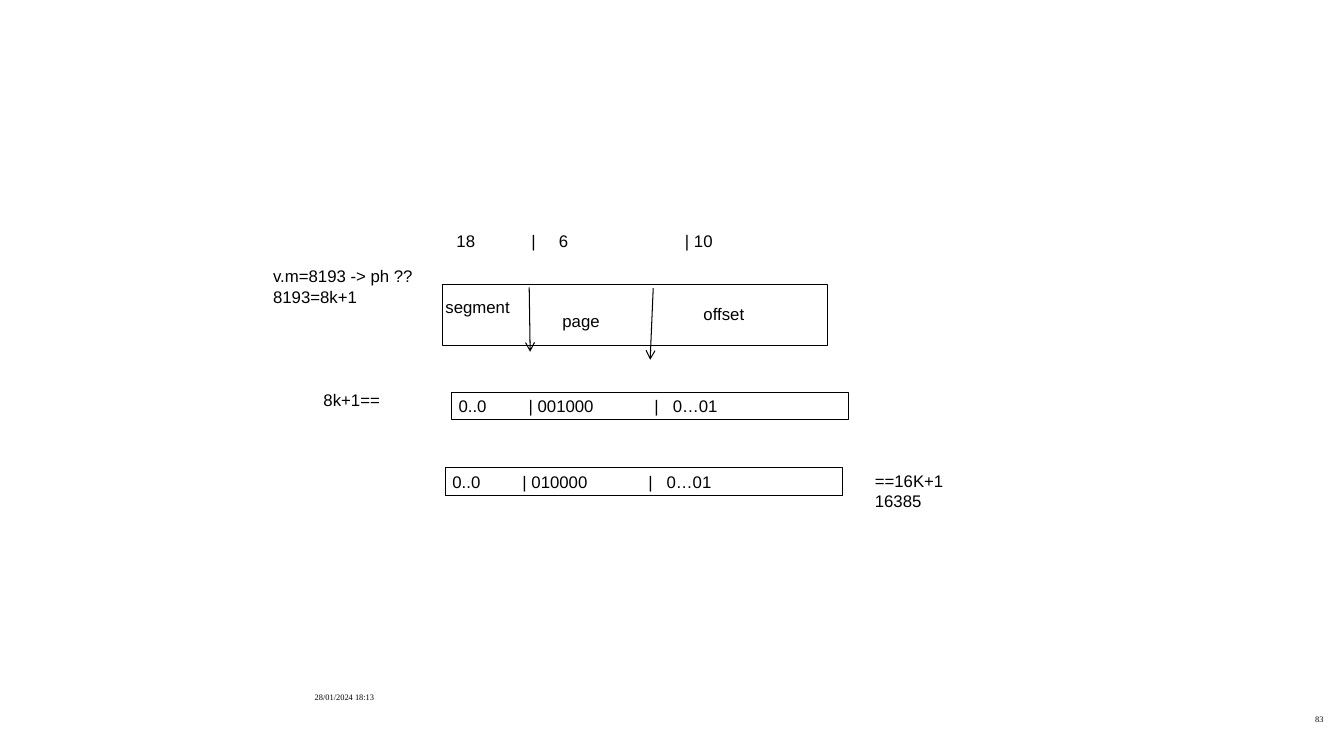
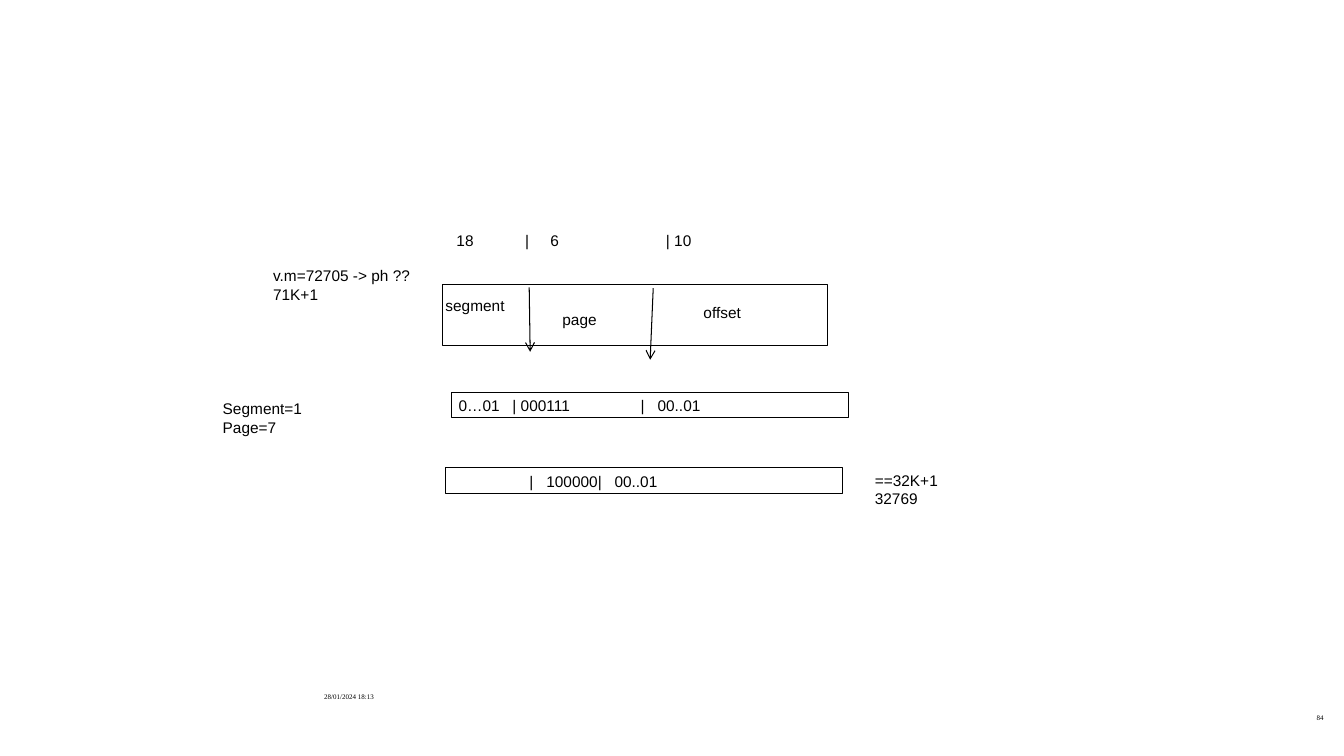
"""Build two slides that work through segmented and paged address translation."""
from dataclasses import dataclass

from lxml import etree
from pptx import Presentation
from pptx.dml.color import RGBColor
from pptx.enum import shapes, text
from pptx.oxml import ns
from pptx.util import Pt

INK = {"line": "000000", "text": "000000", "page": "FFFFFF"}
PAD = {"margin_left": 5, "margin_right": 5, "margin_top": 2.9, "margin_bottom": 2.9}
BODY = "Arial"
FOOT = "Times New Roman"
DATE = "28/01/2024 18:13"
LEAD = 1.15


@dataclass
class Label:
    """Text at a place; tab stops are in ems of the font size."""
    words: str
    left: float
    top: float
    width: float
    stops: tuple = ()
    boxed: bool = False
    font: str = BODY
    align: text.PP_ALIGN = text.PP_ALIGN.LEFT


@dataclass
class Arrow:
    """A straight arrow between two points."""
    x1: float
    y1: float
    x2: float
    y2: float


@dataclass
class Case:
    """What differs from one worked example to the next."""
    number: int
    size: int
    labels: list


FIELDS = [
    Label("segment", 313.2, 208.8, 64.8),
    Label("page", 396.7, 218.9, 63.4),
    Label("offset", 497.5, 213.8, 63.4),
    Label("18\t|\t6\t| 10", 321.1, 162, 276.5, (4.45, 6.1, 13.6)),
]
ARROWS = [Arrow(378, 205.2, 378.7, 251.3), Arrow(466.6, 205.9, 464.4, 257)]


def ask(words: str) -> Label:
    """Place the question left of the address."""
    return Label(words, 190.1, 187.2, 115.2)


def virtual(words: str, stops: tuple) -> Label:
    """Place the bits of the virtual address."""
    return Label(words, 322.6, 280.1, 283.7, stops, True)


def real(words: str, stops: tuple) -> Label:
    """Place the bits of the physical address."""
    return Label(words, 318.2, 334.1, 283.7, stops, True)


def answer(words: str) -> Label:
    """Place the result right of the physical address."""
    return Label(words, 619.9, 333.4, 64.8)


CASES = [
    Case(83, 12, [
        ask("v.m=8193 -> ph ??\n8193=8k+1"),
        virtual("0..0\t| 001000\t|\t0…01", (4.17, 11.66, 12.75)),
        Label("8k+1==", 226.1, 275.8, 64.8),
        real("0..0\t| 010000\t|\t0…01", (4.17, 11.66, 12.75)),
        answer("==16K+1\n16385"),
    ]),
    Case(84, 11, [
        ask("v.m=72705 -> ph ??\n71K+1"),
        virtual("0…01\t| 000111\t|\t00..01", (3.5, 11.82, 12.92)),
        real("\t|\t100000|\t00..01", (5, 6.1, 10.53)),
        answer("==32K+1\n32769"),
        Label("Segment=1\nPage=7", 154.1, 282.2, 121.7),
    ]),
]


def color(name: str) -> RGBColor:
    """Look up a colour by its role."""
    return RGBColor.from_string(INK[name])


def add_box(slide, left: float, top: float, width: float, height: float):
    """Draw an outlined rectangle without a fill."""
    box = slide.shapes.add_shape(shapes.MSO_SHAPE.RECTANGLE, Pt(left), Pt(top),
                                 Pt(width), Pt(height))
    box.shadow.inherit = False
    box.fill.background()
    box.line.color.rgb = color("line")
    box.line.width = Pt(0.75)
    return box


def add_stops(para, stops: tuple, size: float) -> None:
    """Give a paragraph left tab stops."""
    tabs = etree.SubElement(para._p.get_or_add_pPr(), ns.qn("a:tabLst"))
    for stop in stops:
        etree.SubElement(tabs, ns.qn("a:tab"), pos=str(int(Pt(stop * size))), algn="l")


def add_label(slide, label: Label, size: float) -> None:
    """Draw one label, with an outline if it is boxed."""
    lines = label.words.count("\n") + 1
    height = lines * size * LEAD + PAD["margin_top"] + PAD["margin_bottom"]
    area = label.left, label.top, label.width, height
    if label.boxed:
        box = add_box(slide, *area)
    else:
        box = slide.shapes.add_textbox(*map(Pt, area))
    frame = box.text_frame
    for key, value in PAD.items():
        setattr(frame, key, Pt(value))
    frame.word_wrap = True
    frame.vertical_anchor = text.MSO_ANCHOR.TOP
    frame.text = label.words
    style = {"name": label.font, "size": Pt(size)}
    for para in frame.paragraphs:
        para.alignment = label.align
        if label.stops:
            add_stops(para, label.stops, size)
        for run in para.runs:
            for key, value in style.items():
                setattr(run.font, key, value)
            run.font.color.rgb = color("text")


def add_arrow(slide, arrow: Arrow) -> None:
    """Draw one arrow with an open head."""
    link = slide.shapes.add_connector(shapes.MSO_CONNECTOR.STRAIGHT, Pt(arrow.x1),
                                      Pt(arrow.y1), Pt(arrow.x2), Pt(arrow.y2))
    link.line.color.rgb = color("line")
    link.line.width = Pt(0.75)
    etree.SubElement(link.line._get_or_add_ln(), ns.qn("a:tailEnd"), type="arrow")
    etree.SubElement(link._element.spPr, ns.qn("a:effectLst"))


def add_case(deck, case: Case) -> None:
    """Add the slide of one worked example."""
    slide = deck.slides.add_slide(deck.slide_layouts[6])
    fill = slide.background.fill
    fill.solid()
    fill.fore_color.rgb = color("page")
    add_box(slide, 316.1, 203, 275, 44)
    for arrow in ARROWS:
        add_arrow(slide, arrow)
    for label in FIELDS + case.labels:
        add_label(slide, label, case.size)
    foot = {"font": FOOT, "align": text.PP_ALIGN.RIGHT}
    for label in (Label(str(case.number), 906.5, 506.9, 43.9, **foot),
                  Label(DATE, 72, 491.8, 200.2, **foot)):
        add_label(slide, label, case.size // 2)


def main() -> None:
    """Build and save the deck."""
    deck = Presentation()
    deck.slide_width, deck.slide_height = Pt(960), Pt(540)
    for case in CASES:
        add_case(deck, case)
    deck.save("out.pptx")


if __name__ == "__main__":
    main()
